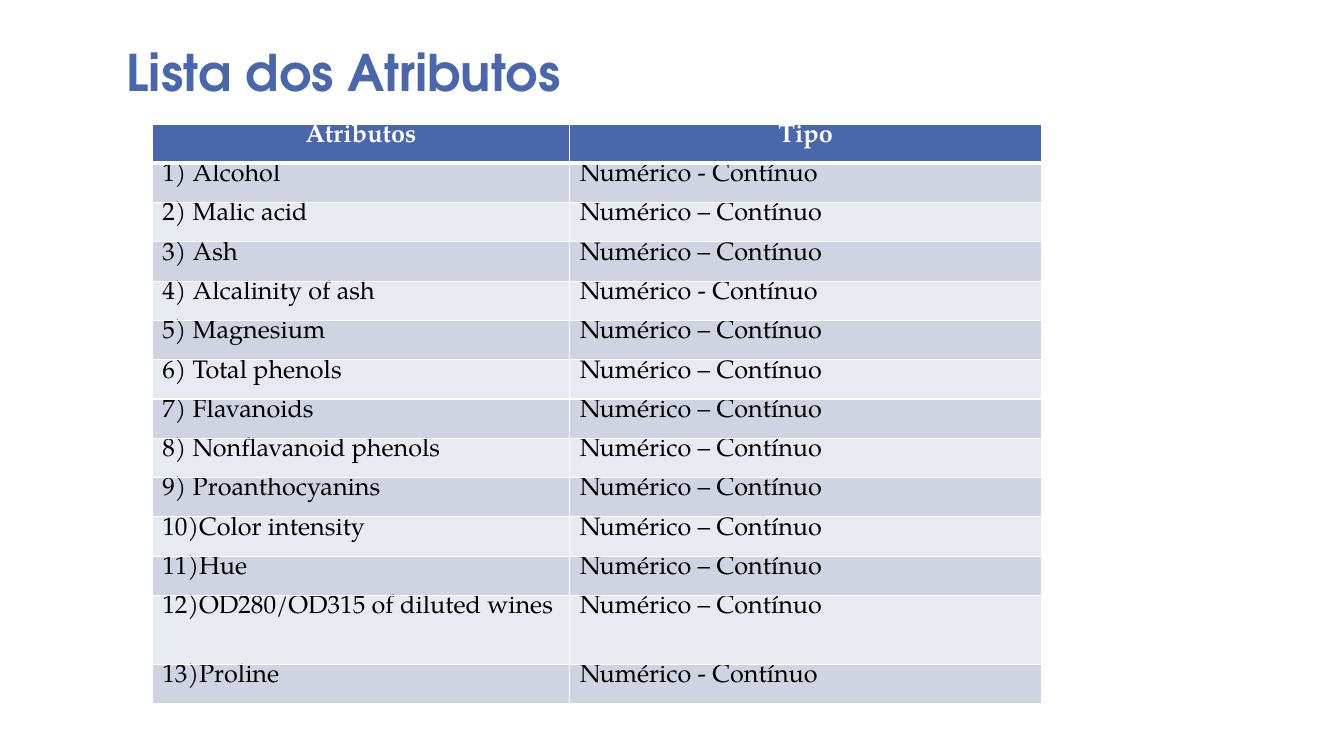
from pptx import Presentation
from pptx.dml.color import RGBColor
from pptx.enum.text import MSO_ANCHOR, PP_ALIGN
from pptx.oxml import parse_xml
from pptx.oxml.ns import nsdecls
from pptx.util import Inches, Pt

WIDTH, HEIGHT = 13.33, 7.5
COLUMNS, ROWS = 100, 100


def color(value):
    return RGBColor.from_string(value)


class SlideBuilder:
    title_font = "TeX Gyre Adventor"
    body_font = "TeX Gyre Pagella"
    accent, white, black = "4A66AC", "FFFFFF", "000000"
    bands = ("CFD3E2", "E8EAF1")
    thin, thick = 0.96, 3

    def __init__(self, slide):
        self.slide = slide

    def across(self, columns):
        return Inches(WIDTH * columns / COLUMNS)

    def down(self, rows):
        return Inches(HEIGHT * rows / ROWS)

    def run(self, paragraph, text, font, size, ink, bold=False):
        run = paragraph.add_run()
        run.text = text
        run.font.name = font
        run.font.size = Pt(size)
        run.font.bold = bold
        run.font.color.rgb = color(ink)

    def title(self, text, left, top, width, height):
        shape = self.slide.shapes.add_textbox(
            self.across(left), self.down(top), self.across(width), self.down(height))
        frame = shape.text_frame
        frame.word_wrap = True
        frame.vertical_anchor = MSO_ANCHOR.BOTTOM
        paragraph = frame.paragraphs[0]
        paragraph.line_spacing = 0.9
        self.run(paragraph, text, self.title_font, 36, self.accent, True)

    def borders(self, cell, top, bottom):
        properties = cell._tc.get_or_add_tcPr()
        edges = (("lnL", self.thin), ("lnR", self.thin), ("lnT", top), ("lnB", bottom))
        for position, (edge, points) in enumerate(edges):
            properties.insert(position, parse_xml(
                f'<a:{edge} {nsdecls("a")} w="{Pt(points)}"><a:solidFill>'
                f'<a:srgbClr val="{self.white}"/></a:solidFill></a:{edge}>'))

    def cell(self, cell, text, row):
        header = row == 0
        cell.margin_top = cell.margin_bottom = 0
        cell.fill.solid()
        cell.fill.fore_color.rgb = color(self.accent if header else self.bands[(row - 1) % 2])
        paragraph = cell.text_frame.paragraphs[0]
        paragraph.alignment = PP_ALIGN.CENTER if header else PP_ALIGN.LEFT
        self.run(paragraph, text, self.body_font, 18, self.white if header else self.black, header)
        self.borders(cell, self.thick if row == 1 else self.thin,
                     self.thick if header else self.thin)

    def table(self, records, left, top, widths, heights):
        table = self.slide.shapes.add_table(
            len(records), len(widths), self.across(left), self.down(top),
            self.across(sum(widths)), self.down(sum(heights))).table
        for column, width in zip(table.columns, widths):
            column.width = self.across(width)
        for row, height in zip(table.rows, heights):
            row.height = self.down(height)
        for row, record in enumerate(records):
            for column, text in enumerate(record):
                self.cell(table.cell(row, column), text, row)


def main():
    presentation = Presentation()
    presentation.slide_width = Inches(WIDTH)
    presentation.slide_height = Inches(HEIGHT)
    builder = SlideBuilder(presentation.slides.add_slide(presentation.slide_layouts[6]))

    attributes = [
        "1) Alcohol", "2) Malic acid", "3) Ash", "4) Alcalinity of ash", "5) Magnesium",
        "6) Total phenols", "7) Flavanoids", "8) Nonflavanoid phenols",
        "9) Proanthocyanins", "10)Color intensity", "11)Hue",
        "12)OD280/OD315 of diluted wines", "13)Proline",
    ]
    hyphenated = (1, 4, 13)
    records = [("Atributos", "Tipo")]
    for number, attribute in enumerate(attributes, 1):
        dash = "-" if number in hyphenated else "–"
        records.append((attribute, f"Numérico {dash} Contínuo"))

    heights = [5.2] * len(records)
    heights[12] = 9.1
    builder.title("Lista dos Atributos", 8.7, -1.33, 71.27, 15.6)
    builder.table(records, 11.33, 16.4, (31.06, 35.11), heights)
    presentation.save("out.pptx")


if __name__ == "__main__":
    main()
